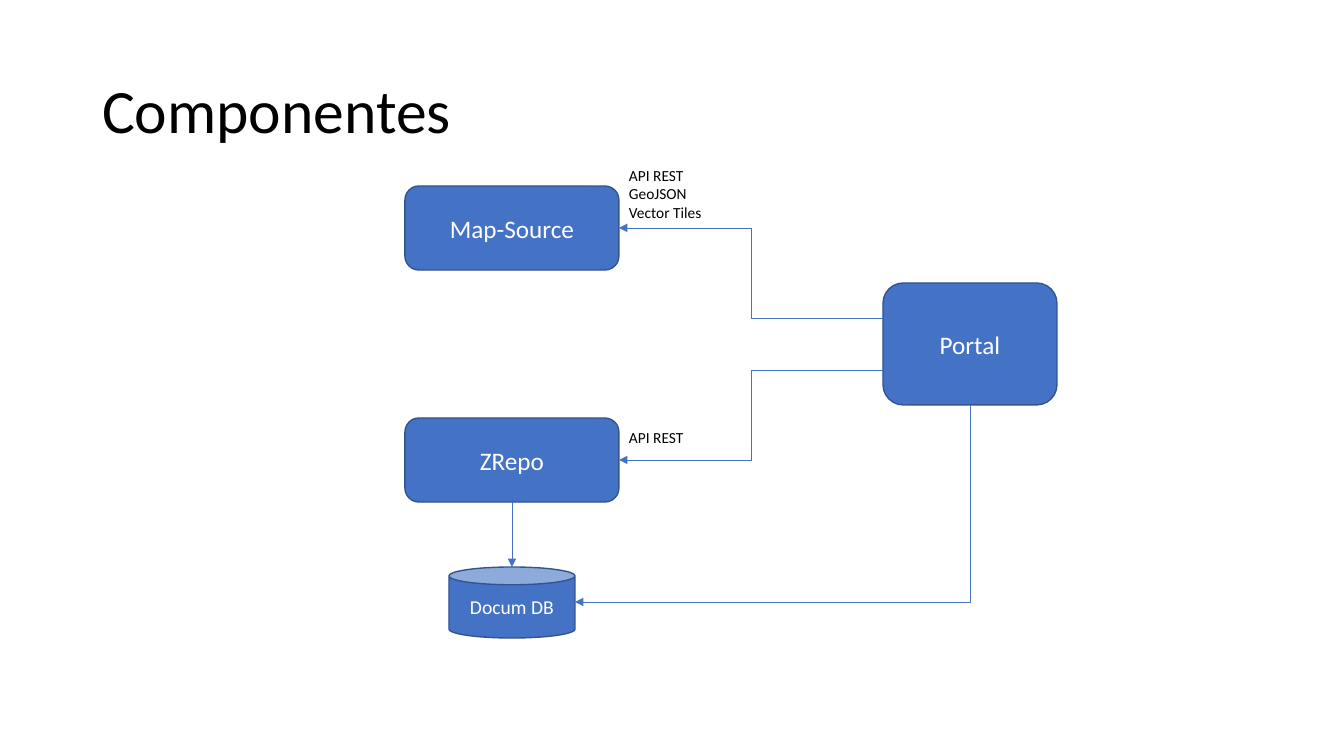
from lxml.etree import SubElement
from pptx import Presentation
from pptx.dml.color import RGBColor
from pptx.enum.shapes import MSO_CONNECTOR, MSO_SHAPE
from pptx.enum.text import MSO_ANCHOR, MSO_AUTO_SIZE, PP_ALIGN
from pptx.oxml.ns import qn
from pptx.util import Pt

COLORS = {"box": "4472C4", "border": "325491", "text": "000000", "box_text": "FFFFFF"}
FONT = "Calibri"


def px(value):
    return round(value * 914400 / 100.8)


def color(name):
    return RGBColor.from_string(COLORS[name])


def write(frame, text, size, ink="text", align=PP_ALIGN.LEFT,
          anchor=MSO_ANCHOR.TOP, spacing=None, fit=MSO_AUTO_SIZE.NONE):
    frame.word_wrap = True
    frame.auto_size = fit
    frame.vertical_anchor = anchor
    frame.text = text
    for paragraph in frame.paragraphs:
        paragraph.alignment = align
        paragraph.line_spacing = spacing
        for run in paragraph.runs:
            run.font.name = FONT
            run.font.size = Pt(size)
            run.font.color.rgb = color(ink)


def place(shape, left, top, width, height):
    shape.left, shape.top = px(left), px(top)
    shape.width, shape.height = px(width), px(height)


def component(slide, box, name, size=18, preset=MSO_SHAPE.ROUNDED_RECTANGLE):
    block = slide.shapes.add_shape(preset, *map(px, box))
    block.shadow.inherit = False
    block.fill.solid()
    block.fill.fore_color.rgb = color("box")
    block.line.color.rgb = color("border")
    block.line.width = Pt(1)
    write(block.text_frame, name, size, "box_text", PP_ALIGN.CENTER, MSO_ANCHOR.MIDDLE)


def label(slide, box, text):
    note = slide.shapes.add_textbox(*map(px, box))
    write(note.text_frame, text, 11, fit=MSO_AUTO_SIZE.SHAPE_TO_FIT_TEXT)


def arrow(slide, start, end, kind=MSO_CONNECTOR.ELBOW):
    link = slide.shapes.add_connector(kind, *map(px, (*start, *end)))
    link.line.color.rgb = color("box")
    link.line.width = Pt(0.5)
    properties = link._element.spPr
    SubElement(properties.find(qn("a:ln")), qn("a:tailEnd"), type="triangle")
    SubElement(properties, qn("a:effectLst"))
    return link


def corner_arrow(slide, start, end):
    """Arrow that runs down, then left: a single-bend connector turned by 90 degrees."""
    link = arrow(slide, start, end)
    across, down = start[0] - end[0], end[1] - start[1]
    center_x, center_y = (start[0] + end[0]) / 2, (start[1] + end[1]) / 2
    place(link, center_x - down / 2, center_y - across / 2, down, across)
    properties = link._element.spPr
    properties.find(qn("a:prstGeom")).set("prst", "bentConnector2")
    turn = properties.find(qn("a:xfrm"))
    turn.attrib.pop("flipH", None)
    turn.set("rot", str(90 * 60000))


def heading(slide, box):
    title = slide.shapes.title
    place(title, *box)
    write(title.text_frame, "Componentes", 44, anchor=MSO_ANCHOR.MIDDLE, spacing=0.9)


def diagram(slide, left, top, width, height):
    # Components
    service_w, service_h = 214, 84
    service_right, service_mid = left + service_w, left + service_w // 2
    map_top, repo_top = top, top + 232
    portal_w, portal_h = 174, 122
    portal_left, portal_top = left + width - portal_w, top + 97
    store_w, store_h = 126, 71
    store_left, store_top = service_mid - store_w // 2, top + height - store_h

    component(slide, (portal_left, portal_top, portal_w, portal_h), "Portal")
    component(slide, (left, map_top, service_w, service_h), "Map-Source")
    component(slide, (left, repo_top, service_w, service_h), "ZRepo")
    component(slide, (store_left, store_top, store_w, store_h), "Docum DB", 14, MSO_SHAPE.CAN)

    # Portal to the two services
    portal_mid = portal_top + portal_h // 2
    for service_top, offset in ((map_top, -26), (repo_top, 26)):
        arrow(slide, (portal_left, portal_mid + offset),
              (service_right, service_top + service_h // 2))

    # Interfaces
    label(slide, (service_right, map_top - 25, 171, 67), "API REST\nGeoJSON\nVector Tiles")
    label(slide, (service_right, repo_top + 5, 171, 29), "API REST")

    # Links to the database
    arrow(slide, (service_mid, repo_top + service_h), (service_mid, store_top),
          MSO_CONNECTOR.STRAIGHT)
    corner_arrow(slide, (portal_left + portal_w // 2, portal_top + portal_h),
                 (store_left + store_w, store_top + store_h // 2))


deck = Presentation()
deck.slide_width, deck.slide_height = px(1344), px(756)
components_slide = deck.slides.add_slide(deck.slide_layouts[5])
heading(components_slide, (92, 41, 1159, 146))
diagram(components_slide, 405, 186, 652, 452)
deck.save("out.pptx")
